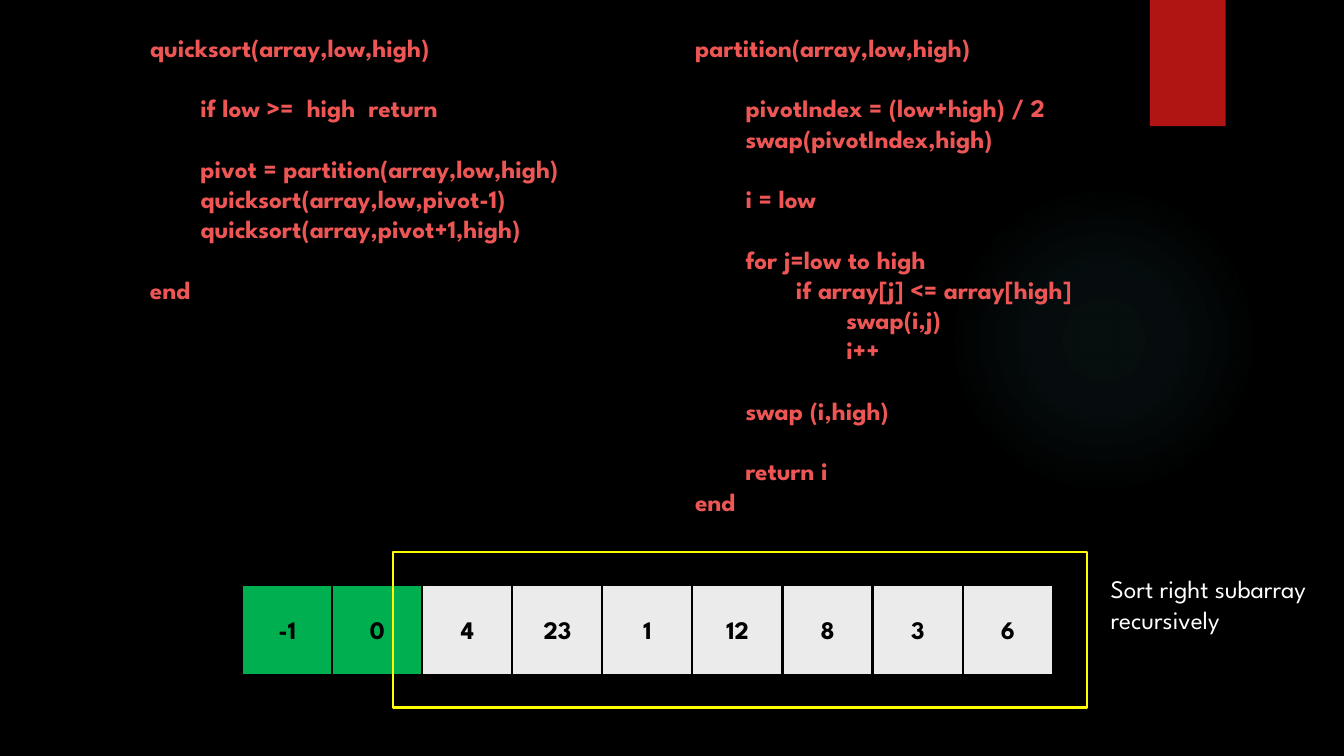
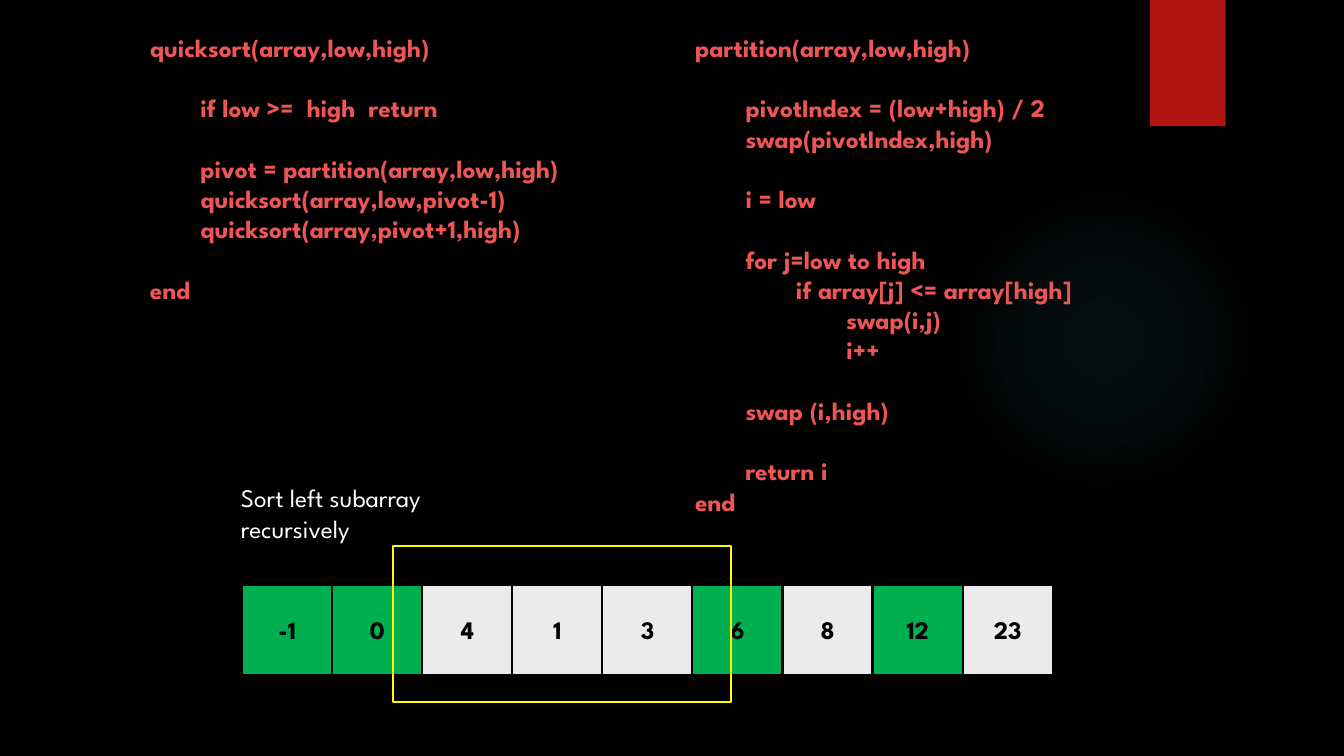
from pptx import Presentation
from pptx.dml.color import RGBColor
from pptx.enum.shapes import MSO_SHAPE
from pptx.enum.text import MSO_ANCHOR, PP_ALIGN
from pptx.oxml import parse_xml
from pptx.oxml.ns import nsdecls
from pptx.util import Cm, Pt

BLACK = "000000"
WHITE = "FFFFFF"
CODE_RED = "ED5654"
RIBBON_RED = "B01513"
SORTED_GREEN = "00B050"
UNSORTED_GREY = "EBEBEB"
FRAME_YELLOW = "FFFF00"
GLOW_TEAL = "50B9C1"

# Each listing is a list of blocks; each line is (indent level, text).
QUICKSORT = [
    [(0, "quicksort(array,low,high)")],
    [(1, "if low >=  high  return")],
    [
        (1, "pivot = partition(array,low,high)"),
        (1, "quicksort(array,low,pivot-1)"),
        (1, "quicksort(array,pivot+1,high)"),
    ],
    [(0, "end")],
]
PARTITION = [
    [(0, "partition(array,low,high)")],
    [(1, "pivotIndex = (low+high) / 2"), (1, "swap(pivotIndex,high)")],
    [(1, "i = low")],
    [
        (1, "for j=low to high"),
        (2, "if array[j] <= array[high]"),
        (3, "swap(i,j)"),
        (3, "i++"),
    ],
    [(1, "swap (i,high)")],
    [(1, "return i"), (0, "end")],
]

# Boxes are left, top, width, height in centimetres.
STEPS = [
    {
        "values": [-1, 0, 4, 23, 1, 12, 8, 3, 6],
        "sorted": {-1, 0},
        "frame": (9.91, 13.92, 17.48, 3.91),
        "note": ["Sort right subarray", "recursively"],
        "note_box": (27.74, 14.33, 6.05, 1.8),
    },
    {
        "values": [-1, 0, 4, 1, 3, 6, 8, 12, 23],
        "sorted": {-1, 0, 6, 12},
        "frame": (9.91, 13.77, 8.51, 3.91),
        "note": ["Sort left subarray", "recursively"],
        "note_box": (5.82, 12.04, 6.63, 1.8),
    },
]


def color(hex_code):
    return RGBColor.from_string(hex_code)


class SlideBuilder:
    """Holds the deck, its style and the slide being filled."""

    font = "League Spartan"
    size = Pt(18)
    line_height = Pt(21.6)
    line_width = Pt(1.5)
    indent = Cm(1.27)

    def __init__(self):
        self.deck = Presentation()
        self.deck.slide_width, self.deck.slide_height = Cm(33.87), Cm(19.05)
        self.layout = self.deck.slide_layouts.get_by_name("Blank")
        self.page = None

    def new_page(self):
        self.page = self.deck.slides.add_slide(self.layout)

    def shape(self, box, fill=None, line=None, kind=MSO_SHAPE.RECTANGLE):
        shape = self.page.shapes.add_shape(kind, *map(Cm, box))
        shape.shadow.inherit = False
        if fill:
            shape.fill.solid()
            shape.fill.fore_color.rgb = color(fill)
        else:
            shape.fill.background()
        if line:
            shape.line.color.rgb = color(line)
            shape.line.width = self.line_width
        else:
            shape.line.fill.background()
        return shape

    def backdrop(self):
        """Give the layout its background, glow and ribbon."""
        for placeholder in list(self.layout.placeholders):
            self.layout.shapes.element.remove(placeholder.element)
        background = self.layout.background.fill
        background.solid()
        background.fore_color.rgb = color(BLACK)

        glow = self.shape((23.9, 4.65, 7.82, 7.82), kind=MSO_SHAPE.OVAL)
        stops = "".join(
            f'<a:gs pos="{position * 1000}"><a:srgbClr val="{GLOW_TEAL}">'
            f'<a:alpha val="{opacity * 1000}"/></a:srgbClr></a:gs>'
            for position, opacity in [(0, 7), (36, 6), (69, 0)]
        )
        gradient = parse_xml(
            f'<a:gradFill {nsdecls("a")}><a:gsLst>{stops}</a:gsLst>'
            '<a:path path="circle"><a:fillToRect l="50000" t="50000" '
            'r="50000" b="50000"/></a:path></a:gradFill>'
        )
        properties = glow.element.spPr
        properties.replace(properties.find("{*}noFill"), gradient)

        ribbon = self.shape((28.98, 0, 1.91, 3.18), RIBBON_RED)
        for shared in (glow, ribbon):
            self.layout.shapes.element.append(shared.element)

    def add_span(self, para, text, text_color, bold):
        span = para.add_run()
        span.text = text
        span.font.name = self.font
        span.font.size = self.size
        span.font.bold = bold
        span.font.color.rgb = color(text_color)

    def text(self, box, blocks, text_color, bold=False):
        """Add blocks of (level, text) lines, one line height apart."""
        frame = self.page.shapes.add_textbox(*map(Cm, box)).text_frame
        frame.word_wrap = True
        para = None
        for block in blocks:
            for number, (level, line) in enumerate(block):
                first = para is None
                para = frame.paragraphs[0] if first else frame.add_paragraph()
                if number == 0 and not first:
                    para.space_before = self.line_height
                para._p.get_or_add_pPr().set("marL", str(level * self.indent))
                self.add_span(para, line, text_color, bold)

    def array(self, values, sorted_values):
        left, top, step, side = 6.1, 14.73, 2.27, 2.28
        for index, value in enumerate(values):
            fill = SORTED_GREEN if value in sorted_values else UNSORTED_GREY
            cell = self.shape((left + index * step, top, side, side), fill, BLACK)
            cell.text_frame.vertical_anchor = MSO_ANCHOR.MIDDLE
            para = cell.text_frame.paragraphs[0]
            para.alignment = PP_ALIGN.CENTER
            self.add_span(para, str(value), BLACK, True)


def main():
    builder = SlideBuilder()
    for number, step in enumerate(STEPS):
        builder.new_page()
        if number == 0:
            builder.backdrop()
        builder.array(step["values"], step["sorted"])
        builder.text((3.53, 0.69, 11.5, 7.95), QUICKSORT, CODE_RED, bold=True)
        builder.text((17.27, 0.69, 12.07, 13.34), PARTITION, CODE_RED, bold=True)
        builder.shape(step["frame"], line=FRAME_YELLOW)
        builder.text(step["note_box"], [[(0, line) for line in step["note"]]], WHITE)
    builder.deck.save("out.pptx")


if __name__ == "__main__":
    main()
